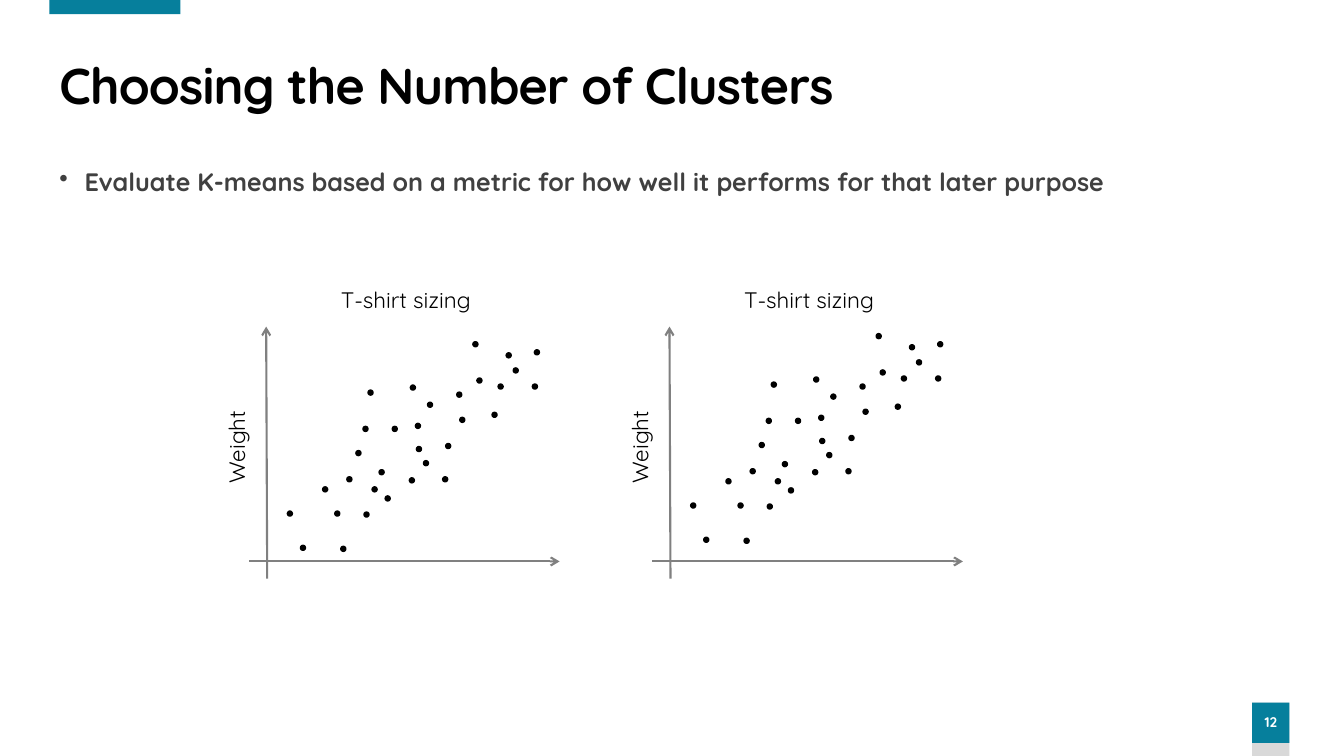
from pptx import Presentation
from pptx.dml.color import RGBColor
from pptx.enum.shapes import MSO_CONNECTOR, MSO_SHAPE
from pptx.enum.text import MSO_ANCHOR, PP_ALIGN
from pptx.oxml.ns import qn
from pptx.util import Pt
from lxml import etree

PX = 9144
FONT = "Quicksand"
TEAL = RGBColor(0x06, 0x7F, 0x9C)
PALE = RGBColor(0xD9, 0xD9, 0xD9)
GRAY = RGBColor(0x80, 0x80, 0x80)
DARK = RGBColor(0x40, 0x40, 0x40)
BLACK = RGBColor(0x00, 0x00, 0x00)
WHITE = RGBColor(0xFF, 0xFF, 0xFF)
STRAIGHT = MSO_CONNECTOR.STRAIGHT
RECT, OVAL = MSO_SHAPE.RECTANGLE, MSO_SHAPE.OVAL
TOP, MIDDLE = MSO_ANCHOR.TOP, MSO_ANCHOR.MIDDLE
LEFT, CENTER = PP_ALIGN.LEFT, PP_ALIGN.CENTER

DOT = 5
SHIRT_SIZES = [
    (96, 228), (206, 161), (117, 168), (203, 194), (108, 194), (184, 178),
    (220, 135), (188, 120), (237, 96), (153, 144), (125, 229), (140, 187),
    (133, 204), (62, 262), (102, 263), (84, 204), (146, 213), (49, 228),
    (124, 144), (177, 164), (171, 103), (176, 141), (129, 108), (170, 195),
    (233, 60), (217, 110), (252, 130), (294, 68), (292, 102), (273, 86),
    (266, 71), (258, 102),
]


def emu(*lengths):
    """Turn px lengths into EMU."""
    return [length * PX for length in lengths]


def add_solid(slide, kind, box, color):
    """Add a filled shape without outline or shadow."""
    solid = slide.shapes.add_shape(kind, *emu(*box))
    solid.shadow.inherit = False
    solid.fill.solid()
    solid.fill.fore_color.rgb = color
    solid.line.fill.background()
    return solid


def write(frame, words, size, color, bold=False, align=LEFT, anchor=TOP, **spacing):
    """Write one formatted paragraph into a text frame."""
    frame.word_wrap = True
    frame.vertical_anchor = anchor
    paragraph = frame.paragraphs[0]
    paragraph.alignment = align
    for attribute, value in spacing.items():
        setattr(paragraph, attribute, value)
    run = paragraph.add_run()
    run.text = words
    for attribute, value in {"name": FONT, "size": Pt(size), "bold": bold}.items():
        setattr(run.font, attribute, value)
    run.font.color.rgb = color
    return paragraph


def add_text(slide, box, words, size, color, **form):
    """Add a text box and return it with its paragraph."""
    label = slide.shapes.add_textbox(*emu(*box))
    return label, write(label.text_frame, words, size, color, **form)


def add_axis(slide, start, end):
    """Add a gray axis with an open arrowhead at its end."""
    axis = slide.shapes.add_connector(STRAIGHT, *emu(*start, *end))
    axis.line.color.rgb = GRAY
    axis.line.width = Pt(1.5)
    etree.SubElement(axis.line._get_or_add_ln(), qn("a:tailEnd"), type="arrow")
    etree.SubElement(axis._element.spPr, qn("a:effectLst"))


def add_heading(slide, left, top, width, height):
    """Place the accent bar at the slide edge and the title in its box."""
    add_solid(slide, RECT, (left, 0, 130, 14), TEAL)
    _, title = add_text(slide, (left, top, width, height),
                        "Choosing the Number of Clusters", 36, BLACK,
                        bold=True, anchor=MIDDLE, line_spacing=0.9)
    title.runs[0].font._element.set("spc", "-60")


def add_body(slide, left, top, width, height):
    """Place the bulleted statement."""
    _, statement = add_text(
        slide, (left, top, width, height),
        "Evaluate K-means based on a metric for how well it performs for that later purpose",
        18, DARK, bold=True, space_before=Pt(3), space_after=Pt(3))
    properties = statement._p.get_or_add_pPr()
    properties.set("marL", str(25 * PX))
    properties.set("indent", str(-25 * PX))
    etree.SubElement(properties, qn("a:buChar"), char="•")


def add_plot(slide, left, top, width, dot_shift):
    """Place one sizing plot: caption, axes and dots."""
    add_text(slide, (left, top, width, 42), "T-shirt sizing", 16, BLACK, align=CENTER)
    weight, _ = add_text(slide, (left - 80, top + 143, 163, 43), "Weight", 16, BLACK,
                         align=CENTER)
    weight.rotation = 270
    add_axis(slide, (left + 29, top + 295), (left + 28, top + 45))
    add_axis(slide, (left + 11, top + 278), (left + 319, top + 278))
    for x, y in SHIRT_SIZES:
        dot = add_solid(slide, OVAL, (left + x, top + y + dot_shift, DOT, DOT), BLACK)
        dot.line.color.rgb = BLACK
        dot.line.width = Pt(1)


def add_page_number(slide, left, top, width, height):
    """Place the page number tile on its pale strip."""
    add_solid(slide, RECT, (left, top, width, height), PALE)
    tile = add_solid(slide, RECT, (left, top, width, 40), TEAL)
    tile.text_frame.margin_left = tile.text_frame.margin_right = 0
    write(tile.text_frame, "12", 10, WHITE, bold=True, align=CENTER, anchor=MIDDLE,
          line_spacing=0.9, space_before=Pt(10))


def main():
    """Build the slide and save it."""
    deck = Presentation()
    deck.slide_width, deck.slide_height = emu(1333, 750)
    slide = deck.slides.add_slide(deck.slide_layouts[6])
    add_page_number(slide, 1242, 697, 37, 53)
    add_heading(slide, 49, 55, 1222, 65)
    add_body(slide, 49, 160, 1222, 522)
    for left, dot_shift in ((236, 0), (636, -8)):
        add_plot(slide, left, 279, 333, dot_shift)
    deck.save("out.pptx")


if __name__ == "__main__":
    main()
